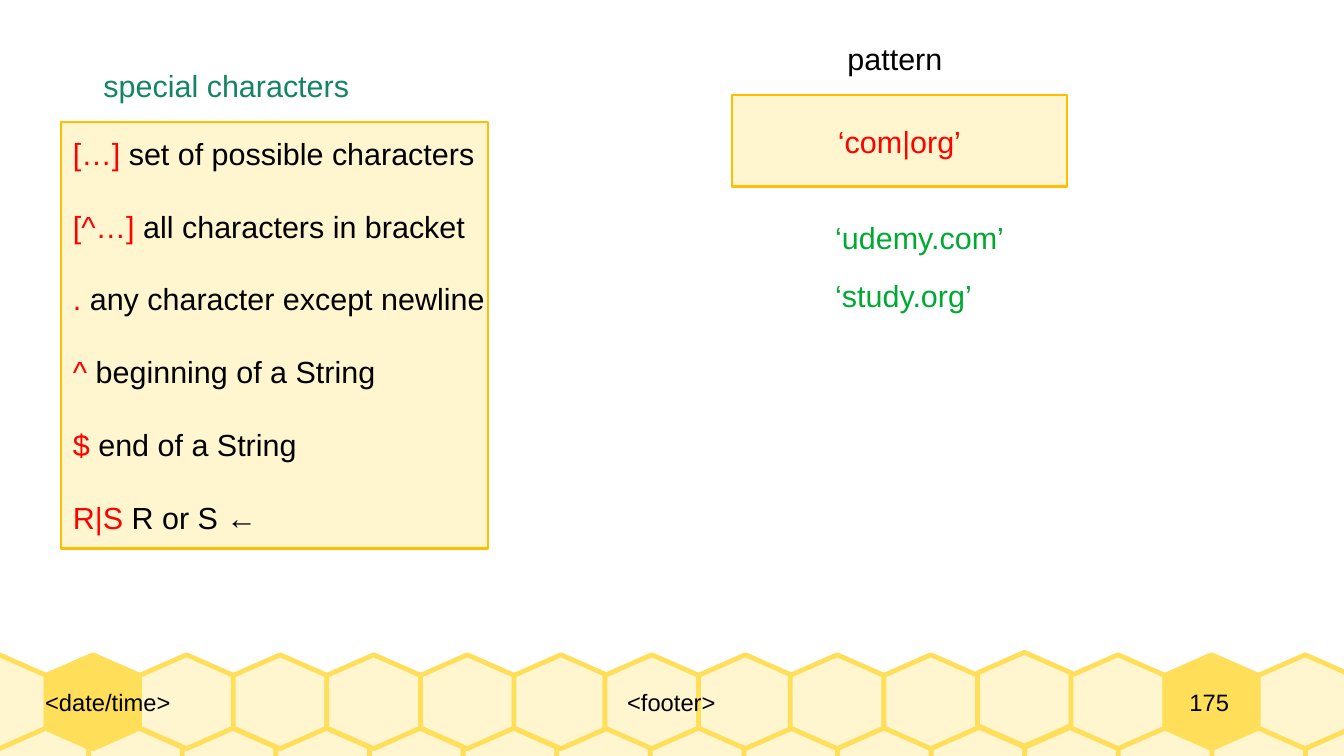
from dataclasses import dataclass
from typing import NamedTuple

from pptx import Presentation
from pptx.dml.color import RGBColor
from pptx.enum.shapes import MSO_SHAPE
from pptx.enum.text import MSO_ANCHOR, PP_ALIGN
from pptx.util import Inches, Pt


@dataclass(frozen=True)
class Theme:
    """Hold the colours, type sizes and line widths of the deck."""
    font: str = "Arial"
    body_size: float = 18
    footer_size: float = 14
    entry_gap: float = 21.5
    panel_line: float = 1.42
    comb_line: float = 2.83
    ink: str = "000000"
    syntax: str = "FF0000"
    heading: str = "158466"
    match: str = "00A933"
    cream: str = "FFF5CE"
    amber: str = "FFBF00"
    honey: str = "FFDE59"


class Box(NamedTuple):
    """Describe an area in columns and rows of the grid."""
    column: float
    row: float
    columns: float
    rows: float

    def inner(self, column, row, columns, rows):
        """Return an area placed relative to this one."""
        return Box(self.column + column, self.row + row, columns, rows)

    def lengths(self):
        """Return left, top, width and height as slide lengths."""
        return [Inches(cells * CELL) for cells in self]


THEME = Theme()
CELL = 0.25
SLIDE_WIDTH, SLIDE_HEIGHT = 11.02, 6.2
LABEL_ROWS = 1.5
HEXAGON = 3.08
HEXAGON_PITCH = 3.07
HEXAGON_OUTLINE = [(0.5, 0), (0, 0.22), (0, 0.78), (0.5, 1), (1, 0.78), (1, 0.22)]

ENTRIES = [
    ("[…]", " set of possible characters"),
    ("[^…]", " all characters in bracket"),
    (".", " any character except newline"),
    ("^", " beginning of a String"),
    ("$", " end of a String"),
    ("R|S ", "R or S ←"),
]
MATCHES = [("‘udemy.com’", 6.8), ("‘study.org’", 5.6)]


def paint(shape, fill, line, width):
    """Give a shape a flat fill and a plain outline."""
    shape.shadow.inherit = False
    shape.fill.solid()
    shape.fill.fore_color.rgb = RGBColor.from_string(fill)
    shape.line.color.rgb = RGBColor.from_string(line)
    shape.line.width = Pt(width)


def add_run(paragraph, text, color, size=THEME.body_size):
    """Append one styled run to a paragraph."""
    run = paragraph.add_run()
    run.text = text
    run.font.name = THEME.font
    run.font.size = Pt(size)
    run.font.color.rgb = RGBColor.from_string(color)


def add_label(slide, box, text, color):
    """Add a label in a box wide enough to keep it on one line."""
    frame = slide.shapes.add_textbox(*box.lengths()).text_frame
    frame.word_wrap = True
    add_run(frame.paragraphs[0], text, color)


def add_panel(slide, box):
    """Add a cream panel and return its text frame."""
    panel = slide.shapes.add_shape(MSO_SHAPE.RECTANGLE, *box.lengths())
    paint(panel, THEME.cream, THEME.amber, THEME.panel_line)
    frame = panel.text_frame
    frame.word_wrap = True
    frame.vertical_anchor = MSO_ANCHOR.MIDDLE
    return frame


def add_hexagon(slide, box, fill):
    """Add one honeycomb cell that fills the given box."""
    left, top, width, height = box.lengths()
    points = [(left + x * width, top + y * height) for x, y in HEXAGON_OUTLINE]
    builder = slide.shapes.build_freeform(*points[0], scale=1.0)
    builder.add_line_segments(points[1:], close=True)
    paint(builder.convert_to_shape(), fill, THEME.honey, THEME.comb_line)


def add_honeycomb(slide, box):
    """Add the two rows of honeycomb along the foot of the slide."""
    for start, row, count in [
        (-0.16, 2.36, 15), (-1.56, 0, 7), (19.84, 0, 2), (25.92, 0, 6),
    ]:
        for index in range(count):
            column = start + index * HEXAGON_PITCH
            golden = (start, index) in [(-1.56, 1), (25.92, 4)]
            lift = 0.08 if (start, index) == (25.92, 2) else 0
            cell = box.inner(column, row - lift, HEXAGON, HEXAGON)
            add_hexagon(slide, cell, THEME.honey if golden else THEME.cream)


def add_footer(slide, box):
    """Add the date, footer and slide number over the honeycomb."""
    for text, column, columns, alignment in [
        ("<date/time>", 1.48, 10.52, PP_ALIGN.LEFT),
        ("<footer>", 12, 20.04, PP_ALIGN.CENTER),
        ("175", 37.16, 5, PP_ALIGN.CENTER),
    ]:
        area = box.inner(column, 0, columns, box.rows)
        frame = slide.shapes.add_textbox(*area.lengths()).text_frame
        frame.word_wrap = True
        frame.vertical_anchor = MSO_ANCHOR.MIDDLE
        frame.margin_left = frame.margin_right = 0
        frame.margin_top = frame.margin_bottom = 0
        paragraph = frame.paragraphs[0]
        paragraph.alignment = alignment
        add_run(paragraph, text, THEME.ink, THEME.footer_size)


def add_special_characters(slide, box):
    """Add the heading and the panel that explains each special character."""
    add_label(slide, box.inner(1, 0, 9.4, LABEL_ROWS), "special characters", THEME.heading)
    frame = add_panel(slide, box.inner(0, 2, box.columns, box.rows - 2))
    frame.margin_right = 0
    for index, (syntax, meaning) in enumerate(ENTRIES):
        paragraph = frame.add_paragraph() if index else frame.paragraphs[0]
        paragraph.alignment = PP_ALIGN.LEFT
        if index:
            paragraph.space_before = Pt(THEME.entry_gap)
        add_run(paragraph, syntax, THEME.syntax)
        add_run(paragraph, meaning, THEME.ink)


def add_pattern(slide, box):
    """Add the pattern panel with the strings it matches below."""
    add_label(slide, box.inner(3.4, 0, 4.2, LABEL_ROWS), "pattern", THEME.ink)
    paragraph = add_panel(slide, box.inner(0, 2, box.columns, 3)).paragraphs[0]
    paragraph.alignment = PP_ALIGN.CENTER
    add_run(paragraph, "‘com|org’", THEME.syntax)
    for index, (text, columns) in enumerate(MATCHES):
        area = box.inner(3, 5.88 + index * 1.88, columns, LABEL_ROWS)
        add_label(slide, area, text, THEME.match)


def main():
    """Build the slide and save the presentation."""
    presentation = Presentation()
    presentation.slide_width = Inches(SLIDE_WIDTH)
    presentation.slide_height = Inches(SLIDE_HEIGHT)
    slide = presentation.slides.add_slide(presentation.slide_layouts[6])
    foot = Box(0, 21.48, SLIDE_WIDTH / CELL, HEXAGON)
    add_honeycomb(slide, foot)
    add_footer(slide, foot)
    add_special_characters(slide, Box(2, 2, 14, 16))
    add_pattern(slide, Box(24, 1.12, 11, 9.5))
    presentation.save("out.pptx")


if __name__ == "__main__":
    main()
